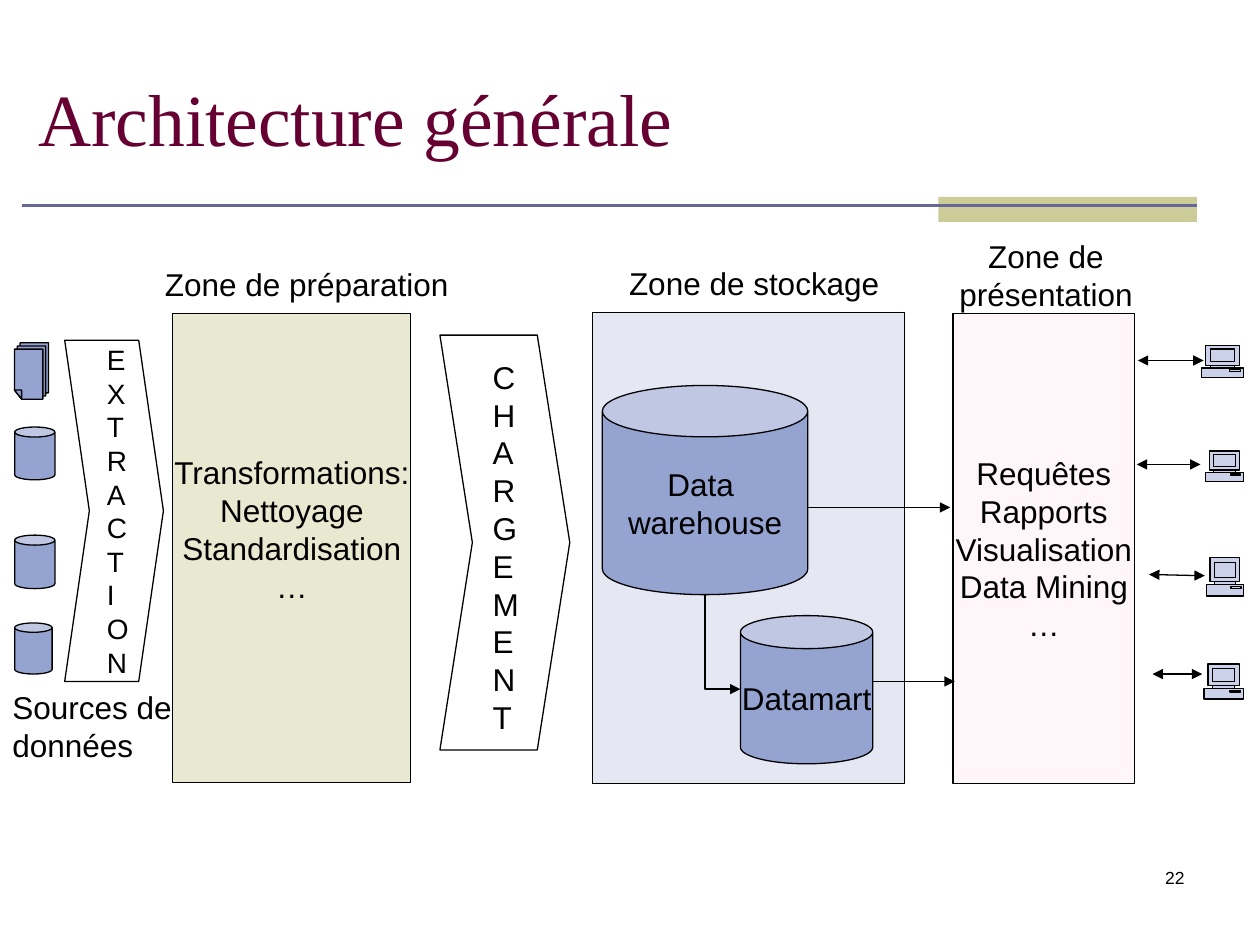
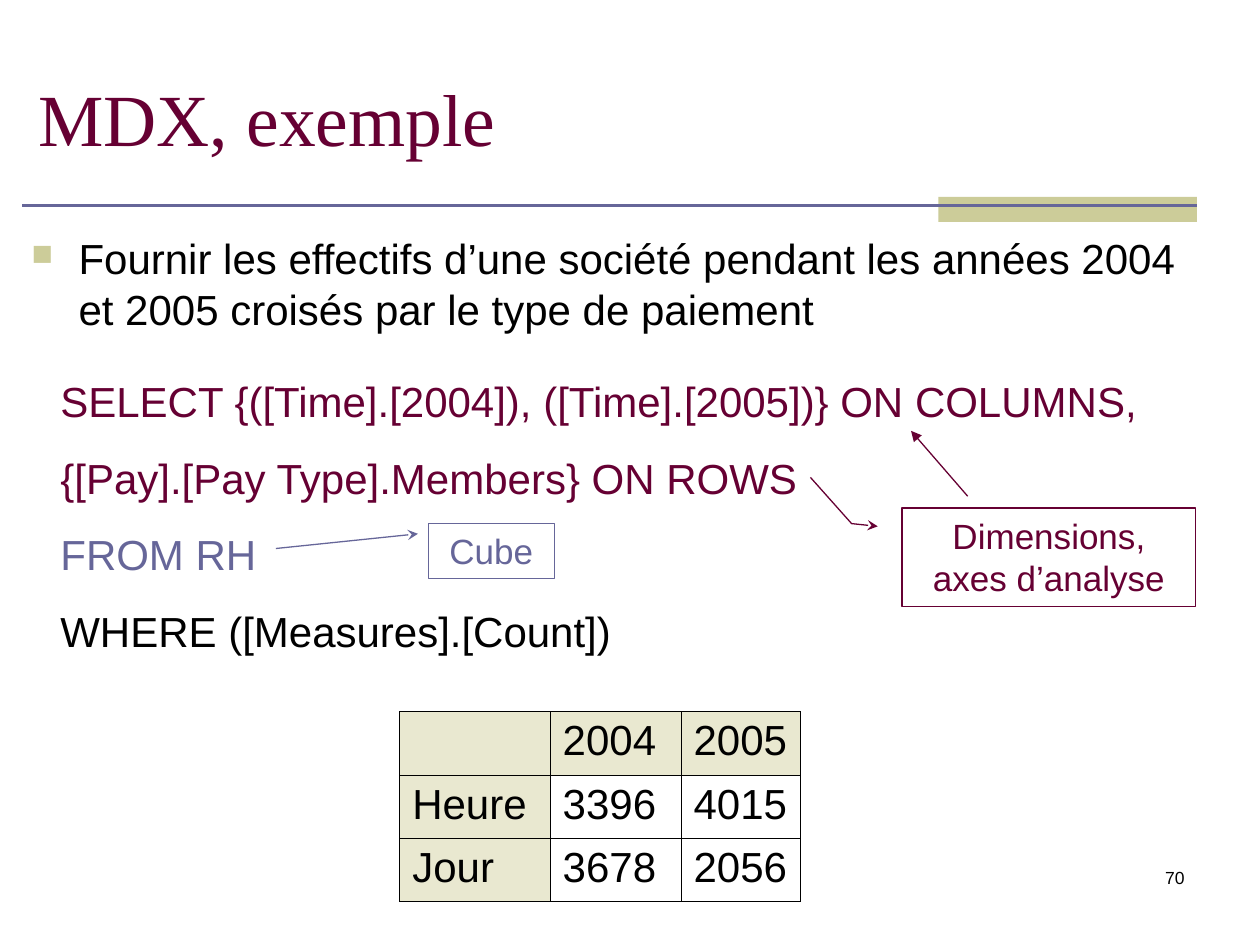
from lxml.etree import SubElement
from pptx import Presentation
from pptx.dml.color import RGBColor
from pptx.enum.shapes import MSO_CONNECTOR, MSO_SHAPE
from pptx.enum.text import MSO_ANCHOR, PP_ALIGN
from pptx.oxml.ns import qn
from pptx.util import Pt

BLACK = "000000"
PLUM = "660033"
SLATE = "666699"
KHAKI = "CCCC99"
PALE_KHAKI = "E9E8D0"
BLUE = "95A3D1"
PALE_BLUE = "CAD1E8"
PINK = "FFDDEE"

CHEVRON = [(0, 0), (0.75, 0), (1, 0.5), (0.75, 1), (0, 1), (0.25, 0.5)]
SHEET = [(0, 0), (1, 0), (1, 1), (0.25, 1), (0, 0.82)]
SHEET_FOLD = [(0, 0), (1, 0), (1, 1)]
COMPUTER = [(0.78, 0.7), (0.78, 0.62), (0.9, 0.62), (0.9, 0), (0.1, 0), (0.1, 0.62),
            (0.22, 0.62), (0.22, 0.7), (0, 0.7), (0, 1), (1, 1), (1, 0.7)]
COMPUTER_PARTS = [(0.22, 0.62, 0.56, 0.08), (0.22, 0.12, 0.56, 0.39), (0.66, 0.75, 0.27, 0.05)]
SQUARE = [(0, 0), (1, 0), (1, 1), (0, 1)]


def color(code):
    return RGBColor.from_string(code)


def points(frame):
    return [Pt(length) for length in frame]


def paint(shape, fill=None, line=BLACK, alpha=None):
    shape.shadow.inherit = False
    if fill:
        shape.fill.solid()
        shape.fill.fore_color.rgb = color(fill)
        if alpha:
            tint = shape._element.spPr.find(".//" + qn("a:srgbClr"))
            SubElement(tint, qn("a:alpha"), val=str(alpha * 1000))
    else:
        shape.fill.background()
    if line:
        shape.line.color.rgb = color(line)
        shape.line.width = Pt(0.75)
    else:
        shape.line.fill.background()


def style(para, size, ink=BLACK, font="Arial"):
    for span in para.runs:
        span.font.size = Pt(size)
        span.font.name = font
        span.font.bold = False
        span.font.color.rgb = color(ink)


def write(shape, text, size=18, ink=BLACK, align=PP_ALIGN.LEFT, anchor=MSO_ANCHOR.TOP,
          wrap=True, font="Arial"):
    frame = shape.text_frame
    frame.text = text
    frame.word_wrap = wrap
    frame.vertical_anchor = anchor
    for para in frame.paragraphs:
        para.alignment = align
        style(para, size, ink, font)
    return frame


def add_label(page, frame, text, **look):
    return write(page.shapes.add_textbox(*points(frame)), text, **look)


def add_block(page, kind, frame, fill, text=None, alpha=None):
    block = page.shapes.add_shape(kind, *points(frame))
    paint(block, fill, alpha=alpha)
    if text:
        write(block, text, align=PP_ALIGN.CENTER, anchor=MSO_ANCHOR.MIDDLE, wrap=False)
    return block


def add_can(page, frame, text=None):
    can = add_block(page, MSO_SHAPE.CAN, frame, BLUE, text)
    can.adjustments[0] = 0.25


def add_polygon(page, frame, corners, fill=None):
    left, top, width, height = frame
    spots = [(Pt(left + x * width), Pt(top + y * height)) for x, y in corners]
    builder = page.shapes.build_freeform(*spots[0])
    builder.add_line_segments(spots[1:], close=True)
    paint(builder.convert_to_shape(), fill)


def add_documents(page, left, top, width, height):
    for step in (2, 1, 0):
        add_polygon(page, (left + 1.6 * step, top - 1.8 * step, width, height), SHEET, BLUE)
    fold = (left, top + 0.82 * height, 0.25 * width, 0.18 * height)
    add_polygon(page, fold, SHEET_FOLD, BLUE)


def add_computer(page, left, top, width, height):
    add_polygon(page, (left, top, width, height), COMPUTER, PALE_BLUE)
    for x, y, wide, high in COMPUTER_PARTS:
        part = (left + x * width, top + y * height, wide * width, high * height)
        add_polygon(page, part, SQUARE, PALE_BLUE)


def add_line(page, ends, ink=BLACK, width=0.75, head=None, tail=None,
             kind=MSO_CONNECTOR.STRAIGHT):
    line = page.shapes.add_connector(kind, *points(ends))
    line.line.color.rgb = color(ink)
    line.line.width = Pt(width)
    add_arrowheads(line, head, tail)
    SubElement(line._element.spPr, qn("a:effectLst"))
    return line


def add_arrowheads(shape, head=None, tail=None):
    outline = shape._element.spPr.find(qn("a:ln"))
    for tag, tip in (("a:headEnd", head), ("a:tailEnd", tail)):
        if tip:
            SubElement(outline, qn(tag), type=tip)


def add_down_right_arrow(page, x, y, width, height):
    left = x + (width - height) / 2
    top = y + (height - width) / 2
    arrow = add_line(page, (left, top, left + height, top + width), tail="triangle",
                     kind=MSO_CONNECTOR.ELBOW)
    properties = arrow._element.spPr
    properties.find(qn("a:prstGeom")).set("prst", "bentConnector2")
    turn = properties.find(qn("a:xfrm"))
    turn.set("rot", "16200000")
    turn.set("flipH", "1")


def add_callout(page, kind, frame, text, ink, adjustments):
    callout = page.shapes.add_shape(kind, *points(frame))
    for index, value in enumerate(adjustments):
        callout.adjustments[index] = value
    paint(callout, line=ink)
    add_arrowheads(callout, head="stealth")
    write(callout, text, size=20, ink=ink, align=PP_ALIGN.CENTER)


def add_bullet(frame):
    para = frame.paragraphs[0]
    properties = para._p.get_or_add_pPr()
    properties.set("marL", str(Pt(27)))
    properties.set("indent", str(-Pt(27)))
    tint = SubElement(properties, qn("a:buClr"))
    SubElement(tint, qn("a:srgbClr"), val=KHAKI)
    SubElement(properties, qn("a:buSzPct"), val="70000")
    SubElement(properties, qn("a:buChar"), char="■")


def add_cell_borders(cell):
    properties = cell._tc.get_or_add_tcPr()
    for side in ("a:lnL", "a:lnR", "a:lnT", "a:lnB"):
        border = SubElement(properties, qn(side), w=str(Pt(0.45)))
        fill = SubElement(border, qn("a:solidFill"))
        SubElement(fill, qn("a:srgbClr"), val=BLACK)


def add_grid(page, left, top, widths, row_height, rows):
    frame = points((left, top, sum(widths), row_height * len(rows)))
    table = page.shapes.add_table(len(rows), len(widths), *frame).table
    table.first_row = table.horz_banding = False
    for column, width in zip(table.columns, widths):
        column.width = Pt(width)
    for y, row in enumerate(rows):
        table.rows[y].height = Pt(row_height)
        for x, text in enumerate(row):
            cell = table.cell(y, x)
            add_cell_borders(cell)
            if x == 0 or y == 0:
                cell.fill.solid()
                cell.fill.fore_color.rgb = color(PALE_KHAKI)
            else:
                cell.fill.background()
            cell.margin_right = Pt(5)
            cell.text_frame.text = text
            style(cell.text_frame.paragraphs[0], 24)


def add_page(deck, title, number):
    page = deck.slides.add_slide(deck.slide_layouts[6])
    band = page.shapes.add_shape(MSO_SHAPE.RECTANGLE, *points((536.2, 112.5, 147.8, 14.4)))
    paint(band, KHAKI, line=None)
    add_line(page, (12.8, 117.5, 684, 117.5), SLATE, 1.5)
    add_label(page, (534, 492, 150, 36), number, size=10, align=PP_ALIGN.RIGHT)
    add_label(page, (14.8, 22, 669.6, 90), title, size=42, ink=PLUM,
              anchor=MSO_ANCHOR.MIDDLE, font="Times New Roman")
    return page


def build_architecture(deck):
    page = add_page(deck, "Architecture générale", "22")

    add_polygon(page, (37, 194.4, 56.4, 195), CHEVRON)
    add_label(page, (54, 192.2, 18, 199.4), "EXTRACTION", size=16,
              align=PP_ALIGN.CENTER, anchor=MSO_ANCHOR.MIDDLE)
    add_polygon(page, (251.4, 191.5, 74.2, 237), CHEVRON)
    add_label(page, (274.4, 200.9, 28, 223.2), "CHARGEMENT")

    add_documents(page, 8.3, 199.5, 16.2, 28.6)
    for can in ((8.4, 244, 23, 30.2), (8.4, 305.8, 23, 30.6), (8.4, 356, 21.4, 29.2)):
        add_can(page, can)
    add_label(page, (0, 389.8, 111, 50.4), "Sources de données")

    box = MSO_SHAPE.RECTANGLE
    preparation = add_block(page, box, (98.8, 179.2, 136, 267.8), PALE_KHAKI,
                            "Transformations:\nNettoyage\nStandardisation\n…")
    preparation.text_frame.margin_bottom = Pt(25.2)
    add_block(page, box, (338.4, 178.6, 178.7, 269), BLUE, alpha=24)
    add_block(page, box, (544.5, 179.2, 104, 268.4), PINK,
              "Requêtes\vRapports\vVisualisation\vData Mining\n…", alpha=24)
    add_label(page, (87.1, 147.8, 193, 28.8), "Zone de préparation")
    add_label(page, (352.4, 147.4, 158.4, 28.8), "Zone de stockage")
    add_label(page, (540.8, 132, 113.8, 50.4), "Zone de présentation",
              align=PP_ALIGN.CENTER)

    add_can(page, (344.2, 220.3, 117.4, 119.5), "Data \vwarehouse")
    add_can(page, (423.1, 351.8, 75.6, 84.7), "Datamart")
    add_down_right_arrow(page, 402.9, 339.8, 20.2, 54)
    add_line(page, (462, 290, 543, 290), tail="triangle")
    add_line(page, (498.7, 389.4, 545.6, 389.4), tail="triangle")

    computers = [(686.6, 197.3, 24, 18.6), (688.8, 257.8, 21.8, 17.4),
                 (689.4, 318.6, 21.2, 22), (688, 379.4, 22.6, 20)]
    for computer in computers:
        add_computer(page, *computer)
    for ends in ((650.2, 206, 687.8, 206), (649.6, 265.4, 686, 265.4),
                 (656.6, 328.3, 688.5, 329), (658.6, 385.2, 687, 385.2)):
        add_line(page, ends, head="triangle", tail="triangle")


def build_mdx_example(deck):
    page = add_page(deck, "MDX, exemple", "70")

    goal = add_label(page, (10.8, 129.6, 673.2, 64.8),
                     "Fournir les effectifs d’une société pendant les années 2004 "
                     "et 2005 croisés par le type de paiement", size=24)
    add_bullet(goal)

    query = [("SELECT {([Time].[2004]), ([Time].[2005])} ON COLUMNS,", PLUM),
             ("{[Pay].[Pay Type].Members} ON ROWS", PLUM),
             ("FROM RH", SLATE),
             ("WHERE ([Measures].[Count])", BLACK)]
    frame = add_label(page, (27.4, 211, 641.5, 167.8),
                      "\n".join(text for text, ink in query), size=24)
    for index, (para, (text, ink)) in enumerate(zip(frame.paragraphs, query)):
        style(para, 24, ink)
        if index:
            para.space_before = Pt(15)

    add_callout(page, MSO_SHAPE.LINE_CALLOUT_2, (515.5, 290.2, 167.8, 56.2),
                "Dimensions, axes d’analyse", PLUM,
                (0.188, -0.083, 0.16, -0.172, -0.31, -0.312))
    add_callout(page, MSO_SHAPE.LINE_CALLOUT_1, (244.8, 299.2, 72, 31.2),
                "Cube", SLATE, (0.188, -0.083, 0.456, -1.21))
    add_line(page, (553, 283.6, 520.6, 246.2), PLUM, tail="triangle")

    add_grid(page, 228.4, 406.6, (86, 74.8, 68.2), 36.2,
             [("", "2004", "2005"), ("Heure", "3396", "4015"), ("Jour", "3678", "2056")])


def main():
    deck = Presentation()
    deck.slide_width = Pt(720)
    deck.slide_height = Pt(540)
    build_architecture(deck)
    build_mdx_example(deck)
    deck.save("out.pptx")


if __name__ == "__main__":
    main()
